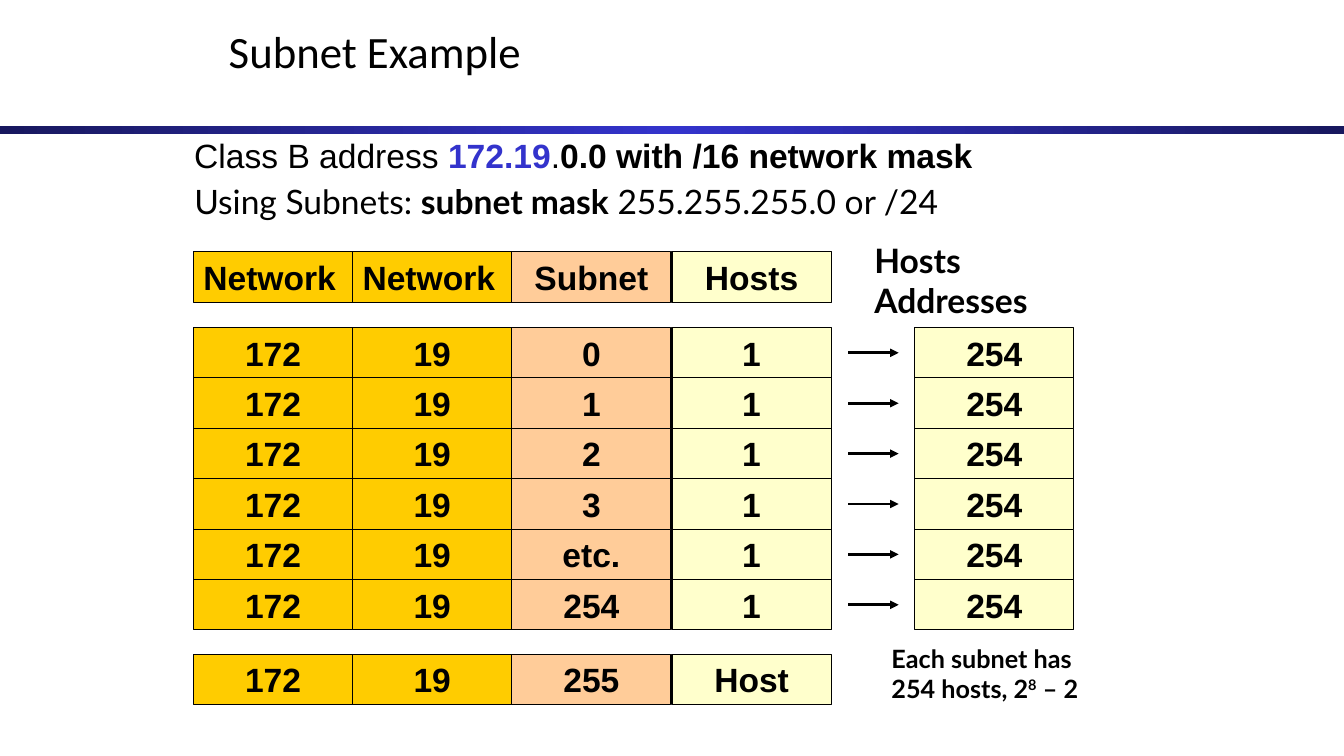
from copy import deepcopy
from dataclasses import dataclass

from lxml import etree
from pptx import Presentation
from pptx.dml.color import RGBColor
from pptx.enum.shapes import MSO_CONNECTOR, MSO_SHAPE
from pptx.enum.text import MSO_ANCHOR, MSO_AUTO_SIZE, PP_ALIGN
from pptx.oxml.ns import qn
from pptx.shapes.autoshape import Shape
from pptx.shapes.shapetree import GroupShapes, SlideShapes
from pptx.text.text import TextFrame
from pptx.util import Pt

PX = 9144
RECT = MSO_SHAPE.RECTANGLE
STRAIGHT = MSO_CONNECTOR.STRAIGHT
TOP, MIDDLE = MSO_ANCHOR.TOP, MSO_ANCHOR.MIDDLE
LEFT, CENTER = PP_ALIGN.LEFT, PP_ALIGN.CENTER
NO_AUTOFIT = MSO_AUTO_SIZE.NONE


@dataclass(frozen=True)
class Theme:
    ink: str = "000000"
    accent: str = "3333CC"
    band_edge: str = "18185E"
    network: str = "FFCC00"
    subnet: str = "FFCC99"
    host: str = "FFFFCC"
    title_pt: int = 32
    body_pt: int = 24
    note_pt: int = 18
    border_pt: float = 0.75
    arrow_pt: int = 2
    title_font: str = "Calibri"
    cell_font: str = "Arial"
    text_font: str = "Lato"


THEME = Theme()


@dataclass(frozen=True)
class Run:
    text: str
    bold: bool = False
    color: str = THEME.ink
    superscript: bool = False


@dataclass(frozen=True)
class Caption:
    x: int
    y: int
    w: int
    h: int
    runs: tuple[Run, ...]
    font: str = THEME.text_font
    size: int = THEME.body_pt
    space_before: float = 15
    line_spacing: float = 1.0


@dataclass(frozen=True)
class AddressRow:
    y: int
    values: tuple[str, ...]
    aligns: tuple[PP_ALIGN, ...] = (CENTER,) * 4


SLIDE_W, SLIDE_H = 1334, 750
CELL_W, CELL_H = 158, 50
GRID_X, GRID_W = 192, 633
HEADER_Y, GRID_Y, LAST_Y = 250, 325, 649
COUNT_X = 908
ARROW_X, ARROW_W = 842, 50
COLUMN_FILLS = (THEME.network, THEME.network, THEME.subnet, THEME.host)
SUBNETS = ("0", "1", "2", "3", "etc.", "254")

ROWS = (
    AddressRow(HEADER_Y, ("Network", "Network", "Subnet", "Hosts"),
               (LEFT, LEFT, CENTER, CENTER)),
    *(AddressRow(GRID_Y + i * CELL_H, ("172", "19", subnet, "1"))
      for i, subnet in enumerate(SUBNETS)),
    AddressRow(LAST_Y, ("172", "19", "255", "Host")),
)

CAPTIONS = (
    Caption(183, 133, 950, 58, (
        Run("Class B address "),
        Run("172.19", bold=True, color=THEME.accent),
        Run("."),
        Run("0.0 with /16 network mask", bold=True),
    ), font=THEME.cell_font, space_before=6, line_spacing=0.9),
    Caption(183, 175, 792, 90, (
        Run("Using Subnets: "),
        Run("subnet mask", bold=True),
        Run(" 255.255.255.0 or /24"),
    )),
    Caption(858, 233, 242, 90, (Run("Hosts Addresses", bold=True),)),
    Caption(875, 633, 242, 70, (
        Run("Each subnet has 254 hosts, 2", bold=True),
        Run("8", bold=True, superscript=True),
        Run(" – 2", bold=True),
    ), size=THEME.note_pt, space_before=11.2),
)


def px(*lengths: int) -> list[int]:
    return [length * PX for length in lengths]


def rgb(color: str) -> RGBColor:
    return RGBColor.from_string(color)


def write(tf: TextFrame, runs: tuple[Run, ...], font: str, size: int,
          align: PP_ALIGN = LEFT, anchor: MSO_ANCHOR = TOP,
          space_before: float = 0, line_spacing: float = 1.0) -> None:
    frame = {"word_wrap": True, "auto_size": NO_AUTOFIT, "vertical_anchor": anchor}
    for name, value in frame.items():
        setattr(tf, name, value)
    p = tf.paragraphs[0]
    paragraph = {"alignment": align, "space_before": Pt(space_before),
                 "line_spacing": line_spacing}
    for name, value in paragraph.items():
        setattr(p, name, value)
    for run in runs:
        r = p.add_run()
        r.text = run.text
        for name, value in {"name": font, "size": Pt(size), "bold": run.bold}.items():
            setattr(r.font, name, value)
        r.font.color.rgb = rgb(run.color)
        if run.superscript:
            r._r.get_or_add_rPr().set("baseline", "30000")


def add_box(shapes: SlideShapes | GroupShapes, x: int, y: int, w: int, h: int) -> Shape:
    sp = shapes.add_shape(RECT, *px(x, y, w, h))
    sp.shadow.inherit = False
    return sp


def add_cell(shapes: SlideShapes | GroupShapes, x: int, y: int, text: str,
             fill: str, align: PP_ALIGN = CENTER) -> None:
    sp = add_box(shapes, x, y, CELL_W, CELL_H)
    sp.fill.solid()
    sp.fill.fore_color.rgb = rgb(fill)
    sp.line.color.rgb = rgb(THEME.ink)
    sp.line.width = Pt(THEME.border_pt)
    write(sp.text_frame, (Run(text, bold=True),), THEME.cell_font,
          THEME.body_pt, align, space_before=15)


def add_row(shapes: SlideShapes, row: AddressRow) -> None:
    group = shapes.add_group_shape()
    for i, (text, fill, align) in enumerate(zip(row.values, COLUMN_FILLS, row.aligns)):
        x = GRID_X + round(i * GRID_W / len(COLUMN_FILLS))
        add_cell(group.shapes, x, row.y, text, fill, align)


def add_arrow(shapes: SlideShapes, y: int) -> None:
    line = shapes.add_connector(STRAIGHT, *px(ARROW_X, y, ARROW_X + ARROW_W, y))
    line.line.color.rgb = rgb(THEME.ink)
    line.line.width = Pt(THEME.arrow_pt)
    etree.SubElement(line.line._get_or_add_ln(), qn("a:tailEnd"), type="triangle")
    etree.SubElement(line._element.spPr, qn("a:effectLst"))


def add_band(shapes: SlideShapes) -> None:
    """Draw the rule under the title, dark at both ends and bright in the middle."""
    sp = add_box(shapes, 0, 125, SLIDE_W, 8)
    sp.line.fill.background()
    sp.fill.gradient()
    sp.fill.gradient_angle = 0
    first, last = sp.fill.gradient_stops
    first.color.rgb, first.position = rgb(THEME.accent), 0.5
    last.color.rgb, last.position = rgb(THEME.band_edge), 1
    edge = deepcopy(last._gs)
    edge.set("pos", "0")
    first._gs.addprevious(edge)


def add_caption(shapes: SlideShapes, c: Caption) -> None:
    tf = shapes.add_textbox(*px(c.x, c.y, c.w, c.h)).text_frame
    write(tf, c.runs, c.font, c.size, space_before=c.space_before,
          line_spacing=c.line_spacing)


def main() -> None:
    prs = Presentation()
    prs.slide_width, prs.slide_height = px(SLIDE_W, SLIDE_H)
    s = prs.slides.add_slide(prs.slide_layouts[5])
    title = s.shapes.title
    title.left, title.top, title.width, title.height = px(217, 24, 769, 52)
    write(title.text_frame, (Run("Subnet Example"),), THEME.title_font,
          THEME.title_pt, anchor=MIDDLE)
    add_band(s.shapes)
    for row in ROWS:
        add_row(s.shapes, row)
    for i in range(len(SUBNETS)):
        y = GRID_Y + i * CELL_H
        add_cell(s.shapes, COUNT_X, y, "254", THEME.host)
        add_arrow(s.shapes, y + CELL_H // 2)
    for caption in CAPTIONS:
        add_caption(s.shapes, caption)
    prs.save("out.pptx")


if __name__ == "__main__":
    main()
